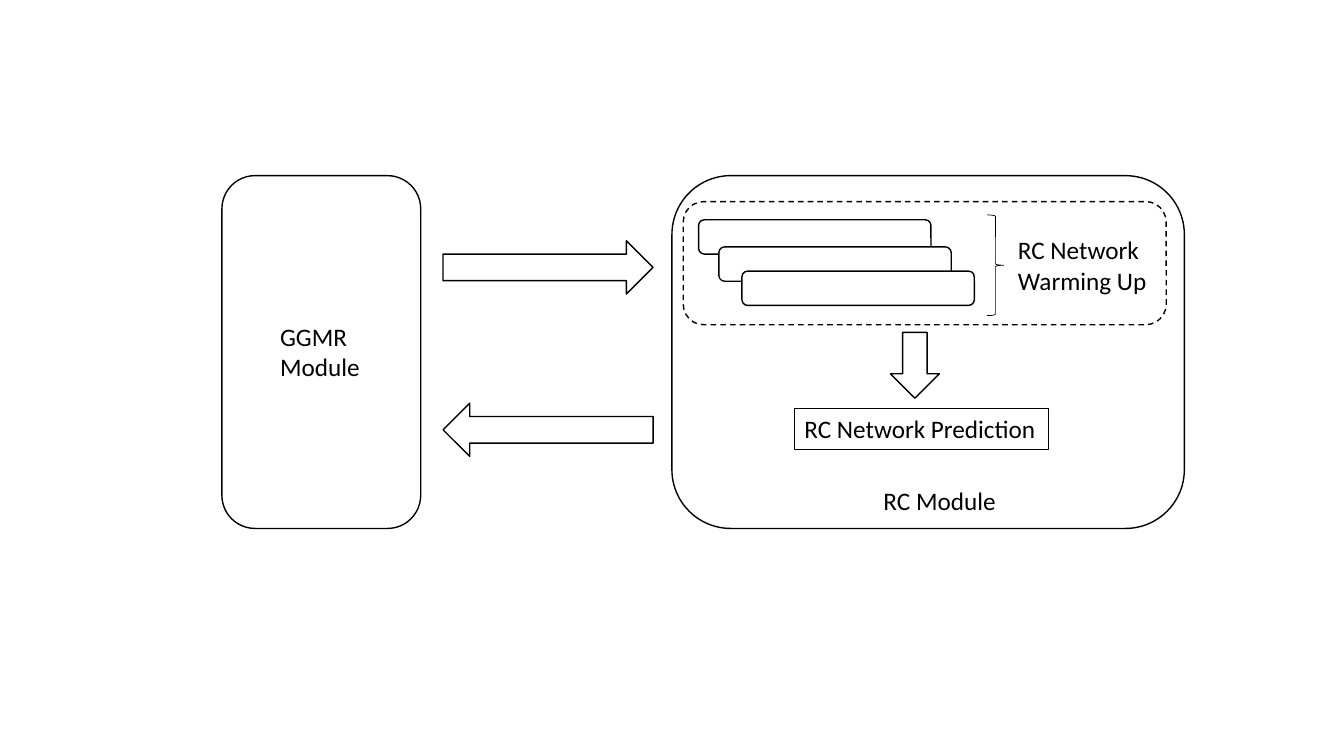
from pptx import Presentation
from pptx.dml.color import RGBColor
from pptx.enum.dml import MSO_LINE
from pptx.enum.shapes import MSO_SHAPE
from pptx.enum.text import MSO_ANCHOR, MSO_AUTO_SIZE, PP_ALIGN
from pptx.util import Pt


def color(hex_string):
    return RGBColor.from_string(hex_string)


class Diagram:
    font_name = "Calibri"
    font_size = 18
    ink = "000000"

    def __init__(self, slide):
        self.slide = slide

    def shape(self, kind, left, top, width, height, fill=None, line_width=1):
        shape = self.slide.shapes.add_shape(
            kind, Pt(left), Pt(top), Pt(width), Pt(height))
        shape.shadow.inherit = False
        if fill:
            shape.fill.solid()
            shape.fill.fore_color.rgb = color(fill)
        else:
            shape.fill.background()
        shape.line.color.rgb = color(self.ink)
        shape.line.width = Pt(line_width)
        return shape

    def set_text(self, shape, lines):
        frame = shape.text_frame
        frame.word_wrap = False
        frame.auto_size = MSO_AUTO_SIZE.SHAPE_TO_FIT_TEXT
        frame.vertical_anchor = MSO_ANCHOR.TOP
        for index, line in enumerate(lines):
            para = frame.add_paragraph() if index else frame.paragraphs[0]
            para.text = line
            para.alignment = PP_ALIGN.LEFT
            para.font.name = self.font_name
            para.font.size = Pt(self.font_size)
            para.font.color.rgb = color(self.ink)

    def label(self, left, top, width, height, *lines):
        box = self.slide.shapes.add_textbox(
            Pt(left), Pt(top), Pt(width), Pt(height))
        self.set_text(box, lines)


def main():
    deck = Presentation()
    deck.slide_width, deck.slide_height = Pt(960), Pt(540)
    diagram = Diagram(deck.slides.add_slide(deck.slide_layouts[6]))

    # Modules
    module_top, module_height = 125.5, 252
    for left, width in ((158.5, 142), (480, 366)):
        diagram.shape(MSO_SHAPE.ROUNDED_RECTANGLE,
                      left, module_top, width, module_height)
    diagram.label(193, 226, 72, 51, "GGMR", "Module")
    diagram.label(624, 343, 96, 29, "RC Module")

    # Exchange between the modules
    for top, rotation in ((172, 0), (288, 180)):
        arrow = diagram.shape(MSO_SHAPE.RIGHT_ARROW, 316.5, top, 150, 38)
        arrow.rotation = rotation

    # Warming up: stacked networks with a brace
    warming_up = diagram.shape(MSO_SHAPE.ROUNDED_RECTANGLE, 488, 144, 345, 88)
    warming_up.line.dash_style = MSO_LINE.DASH
    for left, top, fill in ((499, 157, None),
                            (513.5, 176.4, "FFFFFF"),
                            (530, 193.7, "FFFFFF")):
        diagram.shape(MSO_SHAPE.ROUNDED_RECTANGLE, left, top, 166, 24.5, fill)
    diagram.shape(MSO_SHAPE.RIGHT_BRACE, 705, 153.5, 12, 72, line_width=0.5)
    diagram.label(720, 164, 107, 51, "RC Network", "Warming Up")

    # Prediction
    diagram.shape(MSO_SHAPE.DOWN_ARROW, 636, 237.5, 35, 47)
    prediction = diagram.shape(MSO_SHAPE.RECTANGLE, 567.5, 292, 181.5, 29,
                               line_width=0.75)
    diagram.set_text(prediction, ["RC Network Prediction"])

    deck.save("out.pptx")


if __name__ == "__main__":
    main()
